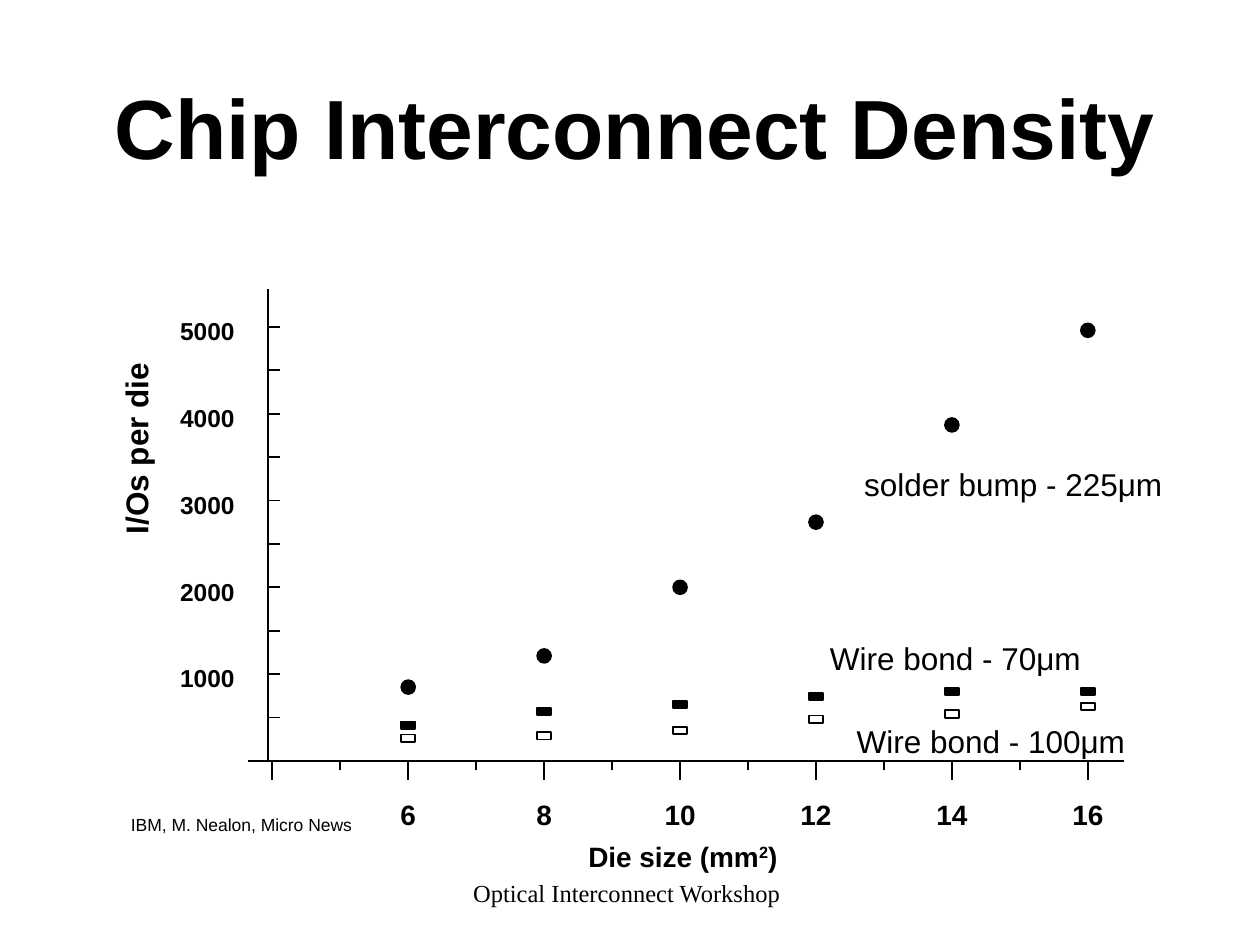
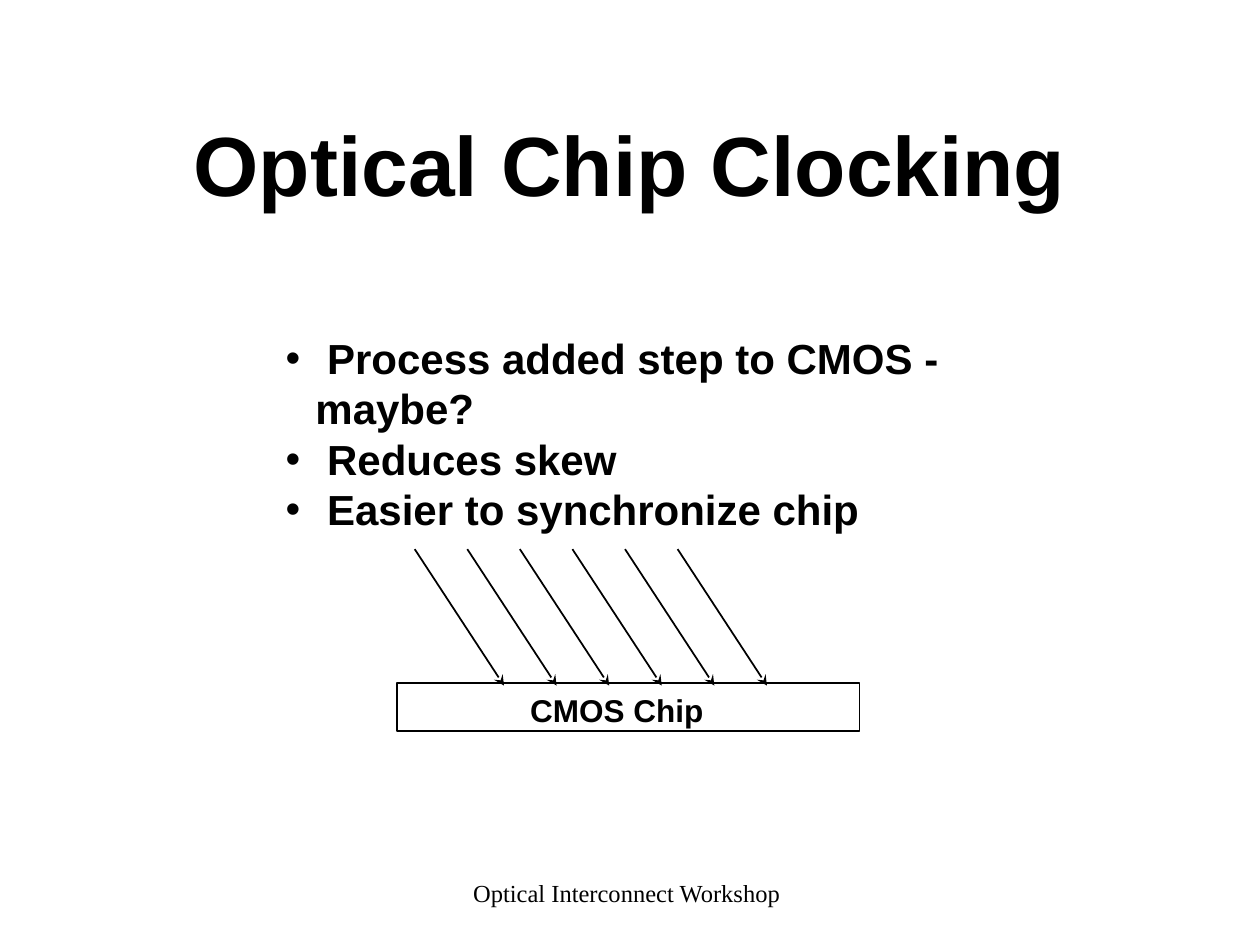
from dataclasses import dataclass
from typing import NamedTuple

from lxml.etree import SubElement
from pptx import Presentation
from pptx.dml.color import RGBColor
from pptx.enum.shapes import MSO_CONNECTOR as Connector, MSO_SHAPE as Preset
from pptx.enum.text import MSO_ANCHOR as Anchor, MSO_AUTO_SIZE as AutoSize, PP_ALIGN as Align
from pptx.oxml.ns import qn
from pptx.slide import Slide
from pptx.text.text import TextFrame, _Paragraph as Paragraph
from pptx.util import Cm, Pt


@dataclass(frozen=True)
class Theme:
    ink: RGBColor = RGBColor(0, 0, 0)
    paper: RGBColor = RGBColor(255, 255, 255)
    sans: str = "Arial"
    serif: str = "Times New Roman"
    title_size: int = 48
    bullet_size: int = 24
    label_size: int = 18
    axis_size: int = 16
    scale_size: int = 14
    footer_size: int = 14
    source_size: int = 10
    line_width: float = 1


THEME = Theme()


class Box(NamedTuple):
    left: float
    top: float
    width: float
    height: float

    def lengths(self) -> list[Cm]:
        return [Cm(value) for value in self]


class Label(NamedTuple):
    text: str
    box: Box
    size: int
    bold: bool = True
    font: str = THEME.sans
    align: Align = Align.LEFT
    rotation: int = 0


class Series(NamedTuple):
    marker: Preset
    fill: RGBColor
    width: float
    height: float
    ios_per_die: tuple[int, ...]


FOOTER = Label("Optical Interconnect Workshop", Box(8.62, 17.37, 8.03, 1.27),
               THEME.footer_size, False, THEME.serif, Align.CENTER)

ORIGIN_X, ORIGIN_Y = 5.49, 15.34
AXIS_X = 5.4
FIRST_SIZE, LAST_SIZE = 4, 16
CM_PER_SIZE = 1.37
CM_PER_1000_IOS = 1.75
SIZE_LABEL_WIDTH = 1.8
DIE_SIZES = range(6, LAST_SIZE + 1, 2)

SERIES = (
    Series(Preset.OVAL, THEME.ink, 0.28, 0.28, (850, 1210, 2000, 2750, 3870, 4960)),
    Series(Preset.RECTANGLE, THEME.ink, 0.28, 0.15, (410, 570, 650, 740, 800, 800)),
    Series(Preset.RECTANGLE, THEME.paper, 0.28, 0.15, (260, 290, 350, 480, 540, 625)),
)

DENSITY_LABELS = (
    Label("I/Os per die", Box(0.76, 8.53, 3.96, 1.02), THEME.label_size, rotation=270),
    Label("IBM, M. Nealon, Micro News", Box(2.39, 16.28, 4.98, 0.69), THEME.source_size, False),
    Label("solder bump - 225μm", Box(17.17, 9.25, 6.53, 1.02), THEME.label_size, False),
    Label("Wire bond - 70μm", Box(16.48, 12.75, 5.56, 1.02), THEME.label_size, False),
    Label("Wire bond - 100μm", Box(17.02, 14.43, 5.92, 1.02), THEME.label_size, False),
)

BENEFITS = (
    " Process added step to CMOS - maybe?",
    " Reduces skew",
    " Easier to synchronize chip",
)


def size_x(die_size: int) -> float:
    return ORIGIN_X + (die_size - FIRST_SIZE) * CM_PER_SIZE


def ios_y(ios: int) -> float:
    return ORIGIN_Y - ios / 1000 * CM_PER_1000_IOS


def style(paragraph: Paragraph, size: int, bold: bool = True, font: str = THEME.sans) -> None:
    paragraph.font.size = Pt(size)
    paragraph.font.bold = bold
    paragraph.font.name = font
    paragraph.font.color.rgb = THEME.ink


def add_label(slide: Slide, label: Label) -> TextFrame:
    text_box = slide.shapes.add_textbox(*label.box.lengths())
    text_box.rotation = label.rotation
    frame = text_box.text_frame
    frame.word_wrap = False
    paragraph = frame.paragraphs[0]
    paragraph.text = label.text
    paragraph.alignment = label.align
    style(paragraph, label.size, label.bold, label.font)
    return frame


def add_line(slide: Slide, x1: float, y1: float, x2: float, y2: float,
             arrow: bool = False) -> None:
    line = slide.shapes.add_connector(Connector.STRAIGHT, Cm(x1), Cm(y1), Cm(x2), Cm(y2))
    line.line.color.rgb = THEME.ink
    line.line.width = Pt(THEME.line_width)
    properties = line._element.spPr
    if arrow:
        SubElement(properties.find(qn("a:ln")), qn("a:tailEnd"), type="stealth")
    SubElement(properties, qn("a:effectLst"))


def add_outlined(slide: Slide, preset: Preset, box: Box, fill: RGBColor) -> None:
    shape = slide.shapes.add_shape(preset, *box.lengths())
    shape.shadow.inherit = False
    shape.fill.solid()
    shape.fill.fore_color.rgb = fill
    shape.line.color.rgb = THEME.ink
    shape.line.width = Pt(THEME.line_width)


def add_titled_slide(deck: Presentation, text: str, left: float, top: float) -> Slide:
    slide = deck.slides.add_slide(deck.slide_layouts[5])
    title = slide.shapes.title
    title.left, title.top, title.width, title.height = Box(left, top, 21.6, 3.18).lengths()
    frame = title.text_frame
    frame.text = text
    frame.auto_size = AutoSize.NONE
    frame.vertical_anchor = Anchor.MIDDLE
    frame.paragraphs[0].alignment = Align.CENTER
    style(frame.paragraphs[0], THEME.title_size)
    add_label(slide, FOOTER).vertical_anchor = Anchor.MIDDLE
    return slide


def add_axes(slide: Slide) -> None:
    add_line(slide, AXIS_X, ORIGIN_Y, AXIS_X, 5.82)
    add_line(slide, 5, ORIGIN_Y, 22.66, ORIGIN_Y)
    for ios in range(0, 5001, 500):
        y = ios_y(ios)
        add_line(slide, AXIS_X, y, AXIS_X + 0.25, y)
        if ios and ios % 1000 == 0:
            add_label(slide, Label(str(ios), Box(3.38, y - 0.34, 1.65, 0.84), THEME.scale_size))
    for die_size in range(FIRST_SIZE, LAST_SIZE + 1):
        x = size_x(die_size)
        add_line(slide, x, ORIGIN_Y, x, ORIGIN_Y + (0.18 if die_size % 2 else 0.38))
        if die_size in DIE_SIZES:
            box = Box(x - SIZE_LABEL_WIDTH / 2, 15.95, SIZE_LABEL_WIDTH, 0.91)
            add_label(slide, Label(str(die_size), box, THEME.axis_size, align=Align.CENTER))


def add_size_caption(slide: Slide) -> None:
    caption = Label("Die size (mm", Box(11.61, 16.79, 4.32, 0.91), THEME.axis_size)
    paragraph = add_label(slide, caption).paragraphs[0]
    exponent = paragraph.add_run()
    exponent.text = "2"
    exponent._r.get_or_add_rPr().set("baseline", "30000")
    paragraph.add_run().text = ")"


def add_series(slide: Slide, series: Series) -> None:
    for die_size, ios in zip(DIE_SIZES, series.ios_per_die):
        box = Box(size_x(die_size) - series.width / 2, ios_y(ios) - series.height / 2,
                  series.width, series.height)
        add_outlined(slide, series.marker, box, series.fill)


def build_density(deck: Presentation) -> None:
    slide = add_titled_slide(deck, "Chip Interconnect Density", 2, 0.95)
    add_axes(slide)
    add_size_caption(slide)
    for series in SERIES:
        add_series(slide, series)
    for label in DENSITY_LABELS:
        add_label(slide, label)


def add_benefits(slide: Slide) -> None:
    frame = slide.shapes.add_textbox(*Box(5.51, 6.58, 16.81, 3.3).lengths()).text_frame
    frame.word_wrap = True
    for index, benefit in enumerate(BENEFITS):
        paragraph = frame.add_paragraph() if index else frame.paragraphs[0]
        paragraph.text = benefit
        properties = paragraph._p.get_or_add_pPr()
        properties.set("marL", str(Cm(0.6)))
        properties.set("indent", str(-Cm(0.6)))
        SubElement(properties, qn("a:buFont"), typeface=THEME.sans)
        SubElement(properties, qn("a:buChar"), char="•")
        style(paragraph, THEME.bullet_size)


def build_clocking(deck: Presentation) -> None:
    slide = add_titled_slide(deck, "Optical Chip Clocking", 1.9, 1.7)
    add_benefits(slide)
    add_outlined(slide, Preset.RECTANGLE, Box(8, 13.77, 9.33, 0.97), THEME.paper)
    add_label(slide, Label("CMOS Chip", Box(10.44, 13.8, 4.01, 1.02), THEME.label_size))
    for beam in range(6):
        x = 8.36 + beam * 1.06
        add_line(slide, x, 11.07, x + 1.8, 13.82, arrow=True)


def main() -> None:
    deck = Presentation()
    deck.slide_width, deck.slide_height = Cm(25.4), Cm(19.05)
    build_density(deck)
    build_clocking(deck)
    deck.save("out.pptx")


if __name__ == "__main__":
    main()
